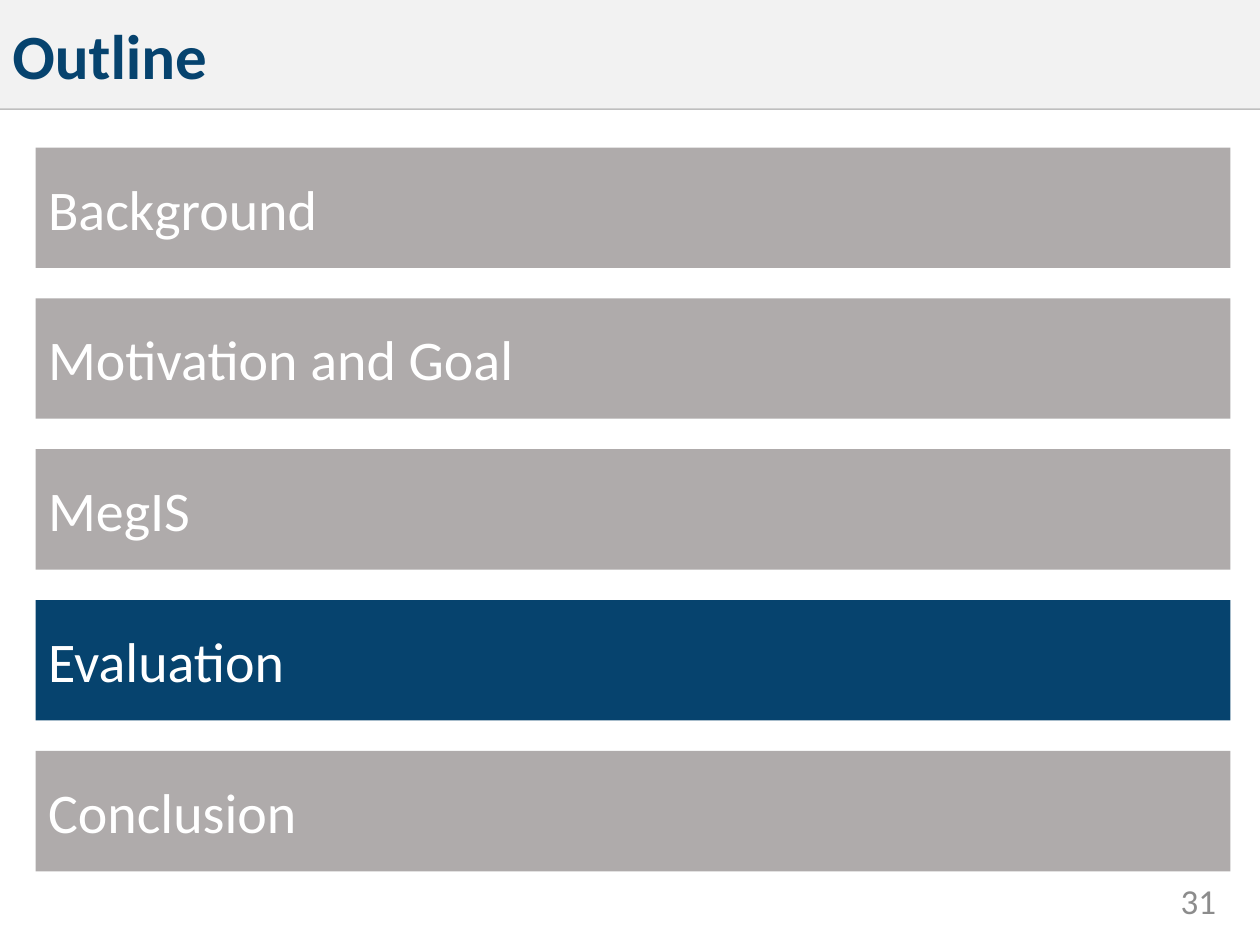
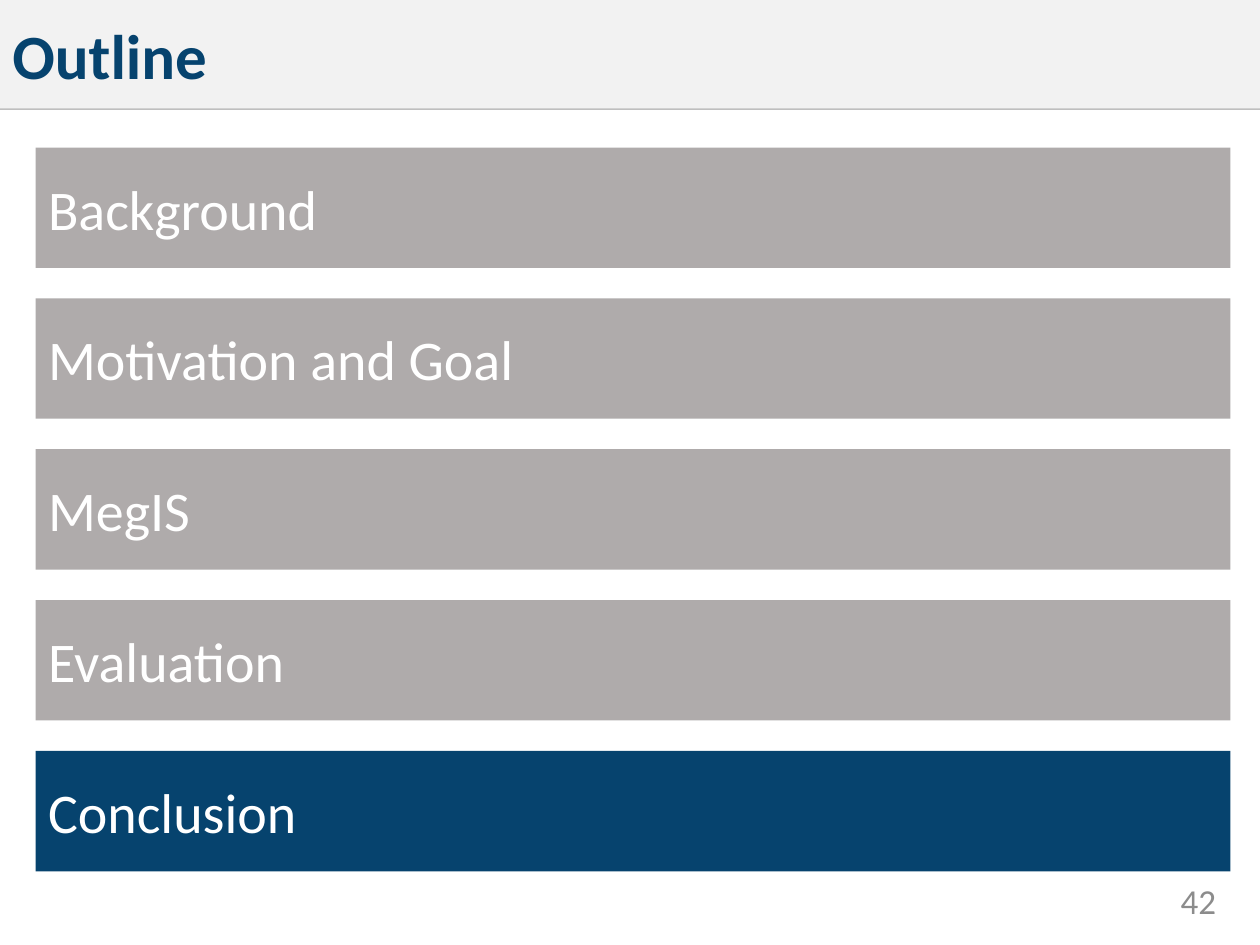
from pptx import Presentation
from pptx.dml.color import RGBColor
from pptx.enum.shapes import MSO_CONNECTOR, MSO_SHAPE
from pptx.enum.text import MSO_ANCHOR, PP_ALIGN
from pptx.oxml.ns import qn
from pptx.util import Pt
from lxml import etree

RECTANGLE = MSO_SHAPE.RECTANGLE
STRAIGHT = MSO_CONNECTOR.STRAIGHT
MIDDLE = MSO_ANCHOR.MIDDLE
LEFT, RIGHT = PP_ALIGN.LEFT, PP_ALIGN.RIGHT

FONT = "Calibri"
COLORS = {
    "navy": "06436E",
    "gray": "AFABAB",
    "band": "F2F2F2",
    "rule": "BFBFBF",
    "number": "8C8C8C",
    "white": "FFFFFF",
}
SLIDE_WIDTH, SLIDE_HEIGHT = 720, 540
BAND_HEIGHT = 62
BAR_LEFT, BAR_TOP, BAR_WIDTH, BAR_HEIGHT = 20.4, 84.3, 682.7, 68.8
BAR_PITCH = 86.2
SECTIONS = ["Background", "Motivation and Goal", "MegIS", "Evaluation", "Conclusion"]
OUTLINES = [("Evaluation", 31), ("Conclusion", 42)]


def rgb(name):
    return RGBColor.from_string(COLORS[name])


class OutlineDeck:
    def __init__(self):
        self.presentation = Presentation()
        self.presentation.slide_width = Pt(SLIDE_WIDTH)
        self.presentation.slide_height = Pt(SLIDE_HEIGHT)
        self.slide = None

    def add_slide(self):
        layout = self.presentation.slide_layouts[6]
        self.slide = self.presentation.slides.add_slide(layout)

    def set_text(self, shape, text, size, color, bold=False, align=LEFT):
        text_frame = shape.text_frame
        text_frame.word_wrap = True
        text_frame.vertical_anchor = MIDDLE
        text_frame.text = text
        paragraph = text_frame.paragraphs[0]
        paragraph.alignment = align
        font = paragraph.runs[0].font
        font.name = FONT
        font.size = Pt(size)
        font.bold = bold
        font.color.rgb = rgb(color)

    def box(self, left, top, width, height, fill, text, size, color, bold=False):
        shape = self.slide.shapes.add_shape(
            RECTANGLE, Pt(left), Pt(top), Pt(width), Pt(height))
        shape.shadow.inherit = False
        shape.fill.solid()
        shape.fill.fore_color.rgb = rgb(fill)
        shape.line.fill.background()
        self.set_text(shape, text, size, color, bold)

    def rule(self, top):
        line = self.slide.shapes.add_connector(
            STRAIGHT, Pt(0), Pt(top), Pt(SLIDE_WIDTH), Pt(top))
        line.line.color.rgb = rgb("rule")
        line.line.width = Pt(2)
        etree.SubElement(line._element.spPr, qn("a:effectLst"))

    def title(self, text):
        self.rule(BAND_HEIGHT)
        self.box(0, 0, SLIDE_WIDTH, BAND_HEIGHT, "band", text, 36, "navy", bold=True)

    def page_number(self, number):
        shape = self.slide.shapes.add_textbox(Pt(624), Pt(500.4), Pt(78), Pt(28.8))
        self.set_text(shape, str(number), 20, "number", align=RIGHT)

    def section_bars(self, current):
        for index, section in enumerate(SECTIONS):
            fill = "navy" if section == current else "gray"
            self.box(BAR_LEFT, BAR_TOP + index * BAR_PITCH, BAR_WIDTH, BAR_HEIGHT,
                     fill, section, 32, "white")


def main():
    deck = OutlineDeck()
    for current, number in OUTLINES:
        deck.add_slide()
        deck.page_number(number)
        deck.title("Outline")
        deck.section_bars(current)
    deck.presentation.save("out.pptx")


if __name__ == "__main__":
    main()
